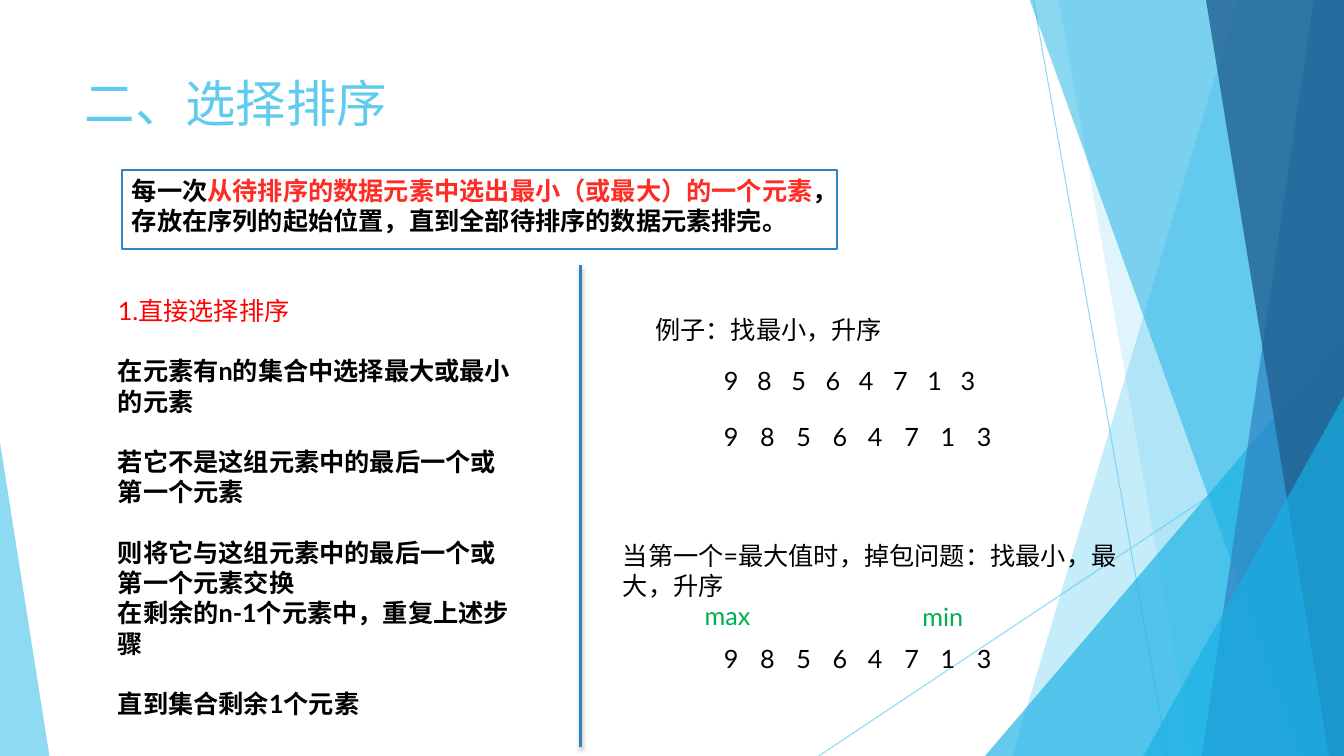
from lxml.etree import SubElement as Sub
from pptx import Presentation
from pptx.dml.color import RGBColor as Rgb
from pptx.enum.shapes import MSO_CONNECTOR as Conn, MSO_SHAPE as Form
from pptx.enum.text import MSO_ANCHOR as Anchor, MSO_AUTO_SIZE as Auto, PP_ALIGN as Align
from pptx.oxml.ns import qn
from pptx.util import Emu, Pt

SCALE = 9144
WIDE, HIGH = 1333, 750
HUES = {"sky": "5FCBEF", "cyan": "17B0E4", "blue": "2E83C3", "navy": "226292",
        "white": "FFFFFF", "black": "000000", "red": "FF0000", "rose": "FE2C24",
        "green": "00B050"}


def px(*nums):
    return [Emu(n * SCALE) for n in nums]


def tint(color, hue, alpha=100):
    color.rgb = Rgb.from_string(HUES[hue])
    if alpha < 100:
        node = color._xFill.find(qn("a:srgbClr"))
        Sub(node, qn("a:alpha"), val=str(alpha * 1000))


def write(para, text, hue="black", size=18, bold=False):
    run = para.add_run()
    run.text = text
    font = run.font
    font.name, font.size, font.bold = "Lato", Pt(size), bold
    tint(font.color, hue)


class Deck:
    def __init__(self):
        self.show = Presentation()
        self.show.slide_width, self.show.slide_height = px(WIDE, HIGH)
        self.slide = self.show.slides.add_slide(self.show.slide_layouts[5])
        self.items = self.slide.shapes

    def paint(self, shape, hue, alpha=100, edge=None):
        shape.shadow.inherit = False
        shape.fill.solid()
        tint(shape.fill.fore_color, hue, alpha)
        if edge:
            tint(shape.line.color, edge)
            shape.line.width = Pt(1.5)
        else:
            shape.line.fill.background()

    def wing(self, top, base, hue, alpha):
        pen = self.items.build_freeform(top, -1, scale=SCALE)
        pen.add_line_segments([(WIDE, -1), (WIDE, HIGH), (base, HIGH)], close=True)
        self.paint(pen.convert_to_shape(), hue, alpha)

    def peak(self, left, top, width, tip, hue, alpha):
        shape = self.items.add_shape(Form.ISOSCELES_TRIANGLE,
                                     *px(left, top, width, HIGH - top))
        shape.adjustments[0] = tip
        self.paint(shape, hue, alpha)

    def frame(self, *area):
        self.paint(self.items.add_shape(Form.RECTANGLE, *px(*area)), "white", edge="blue")

    def line(self, *ends, hue="sky", width=0.75, alpha=100, shade=False):
        link = self.items.add_connector(Conn.STRAIGHT, *px(*ends))
        tint(link.line.color, hue, alpha)
        link.line.width = Pt(width)
        effect = Sub(link._element.spPr, qn("a:effectLst"))
        if shade:
            glow = Sub(effect, qn("a:outerShdw"), blurRad=str(Pt(3)), dist=str(Pt(2)),
                       dir="5400000", rotWithShape="0")
            ink = Sub(glow, qn("a:srgbClr"), val=HUES["black"])
            Sub(ink, qn("a:alpha"), val="35000")

    def title(self, text, *area):
        shape = self.items.title
        shape.left, shape.top, shape.width, shape.height = px(*area)
        frame = shape.text_frame
        frame.auto_size, frame.vertical_anchor = Auto.NONE, Anchor.TOP
        para = frame.paragraphs[0]
        para.alignment = Align.LEFT
        write(para, text, hue="sky", size=36)
        self.items._spTree.append(shape._element)

    def text(self, text, left, top, width, high=40, **style):
        frame = self.items.add_textbox(*px(left, top, width, high)).text_frame
        frame.word_wrap = True
        write(frame.paragraphs[0], text, **style)
        return frame

    def tabs(self, text, stops, *area):
        para = self.text(text, *area).paragraphs[0]
        rail = Sub(para._p.get_or_add_pPr(), qn("a:tabLst"))
        for stop in px(*stops):
            Sub(rail, qn("a:tab"), pos=str(stop), algn="l")

    def digits(self, text, left, top, span):
        gaps = len(text) - 1
        for i, digit in enumerate(text):
            self.text(digit, left + round(i * span / gaps), top, 29)


def main():
    deck = Deck()
    deck.line(1025, 0, 1158, HIGH, alpha=70)
    deck.line(WIDE, 403, 812, HIGH, alpha=70)
    deck.wing(1228, 1004, "sky", 36)
    deck.wing(1050, 1183, "sky", 20)
    deck.peak(977, 333, 356, 1, "cyan", 66)
    deck.wing(1021, 1291, "cyan", 50)
    deck.wing(1303, 1192, "blue", 70)
    deck.wing(1196, 1318, "navy", 80)
    deck.peak(1134, 393, 199, 1, "cyan", 66)
    deck.peak(0, 439, 49, 0, "sky", 70)

    deck.frame(121, 169, 709, 78)
    deck.title("二、选择排序", 74, 67, 940, 102)
    para = deck.text("每一次", 121, 169, 709, 71, bold=True).paragraphs[0]
    write(para, "从待排序的数据元素中选出最小（或最大）的一个元素", hue="rose", bold=True)
    write(para, "，存放在序列的起始位置，直到全部待排序的数据元素排完。", bold=True)

    deck.text("1.直接选择排序", 107, 288, 234, hue="red")
    body = deck.text("在元素有n的集合中选择最大或最小的元素", 107, 348, 412, 404, bold=True)
    for step, gap in (("若它不是这组元素中的最后一个或第一个元素", 21.6),
                      ("则将它与这组元素中的最后一个或第一个元素交换", 21.6),
                      ("在剩余的n-1个元素中，重复上述步骤", 0),
                      ("直到集合剩余1个元素", 21.6)):
        para = body.add_paragraph()
        para.space_before = Pt(gap)
        write(para, step, bold=True)
    deck.line(576, 263, 576, 741, hue="blue", width=2, shade=True)

    row = "98564713"
    deck.text("例子：找最小，升序", 640, 307, 348)
    deck.tabs("\t".join(row), [i * 101 // 3 for i in range(1, len(row))], 708, 358, 342)
    deck.digits(row, 708, 413, 251)
    deck.text("当第一个=最大值时，掉包问题：找最小，最大，升序", 608, 531, 513, 71)
    deck.text("min", 905, 592, 67, hue="green")
    deck.text("max", 689, 591, 67, hue="green")
    deck.digits(row, 708, 633, 251)
    deck.show.save("out.pptx")


if __name__ == "__main__":
    main()
